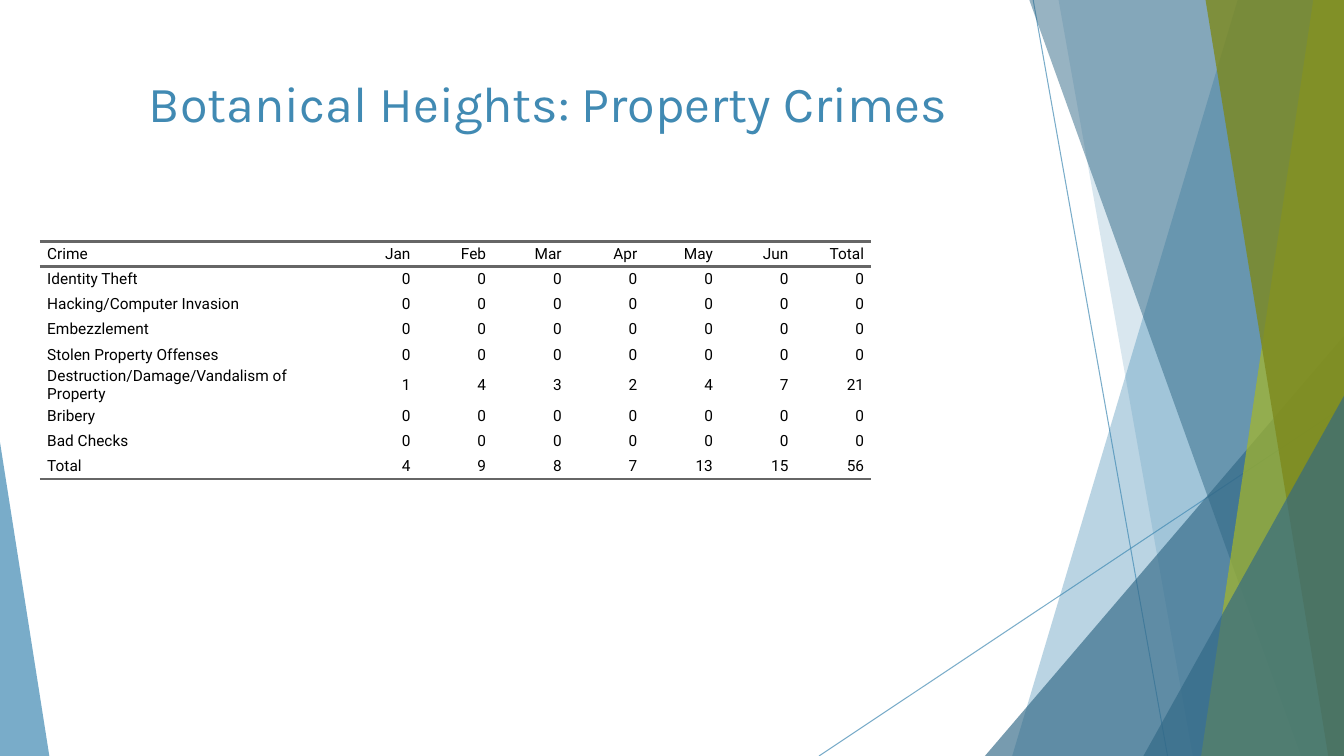
import dataclasses
import pptx
import pptx.dml.color
import pptx.enum.shapes
import pptx.enum.text
import pptx.oxml
import pptx.oxml.ns
import pptx.util
from pptx.dml.color import RGBColor

PX = 9525
WIDE, HIGH = 1280, 720
BLUE = RGBColor(0x41, 0x8A, 0xB3)
NAVY = RGBColor(0x31, 0x68, 0x86)
LIME = RGBColor(0xA6, 0xB7, 0x27)
OLIVE = RGBColor(0x7D, 0x89, 0x1D)
GREY = RGBColor(0x66, 0x66, 0x66)
BLACK = RGBColor(0, 0, 0)
NO_GRID = "{2D5ABB26-0587-4C30-8999-92F81FD0307C}"
ALIGN = pptx.enum.text.PP_ALIGN
ANCHOR = pptx.enum.text.MSO_ANCHOR


@dataclasses.dataclass(frozen=True)
class Ray:
    start: tuple[int, int]
    end: tuple[int, int]


@dataclasses.dataclass(frozen=True)
class Band:
    top: int
    base: int
    color: RGBColor
    alpha: int


@dataclasses.dataclass(frozen=True)
class Wedge:
    left: int
    top: int
    width: int
    peak: int
    color: RGBColor
    alpha: int


RAYS = [Ray((984, 0), (1112, HIGH)), Ray((WIDE, 387), (780, HIGH))]
SHARDS = [
    Band(1179, 964, BLUE, 36),
    Band(1008, 1136, BLUE, 20),
    Wedge(938, 320, 342, 1, NAVY, 66),
    Band(980, 1239, NAVY, 50),
    Band(1251, 1144, LIME, 70),
    Band(1148, 1265, OLIVE, 80),
    Wedge(1089, 377, 191, 1, NAVY, 66),
    Wedge(0, 421, 47, 0, BLUE, 70),
]
HEAD = ["Crime", "Jan", "Feb", "Mar", "Apr", "May", "Jun", "Total"]
CRIMES = {
    "Identity Theft": [0] * 6,
    "Hacking/Computer Invasion": [0] * 6,
    "Embezzlement": [0] * 6,
    "Stolen Property Offenses": [0] * 6,
    "Destruction/Damage/Vandalism of Property": [1, 4, 3, 2, 4, 7],
    "Bribery": [0] * 6,
    "Bad Checks": [0] * 6,
    "Total": [4, 9, 8, 7, 13, 15],
}


def px(count: int) -> pptx.util.Emu:
    return pptx.util.Emu(count * PX)


def fade(node, alpha: int) -> None:
    color = next(node.iter(pptx.oxml.ns.qn("a:srgbClr")))
    color.append(pptx.oxml.parse_xml(
        f'<a:alpha {pptx.oxml.ns.nsdecls("a")} val="{alpha * 1000}"/>'))


def write(frame, text: str, *, font: str, size: int, color: RGBColor,
          align=ALIGN.LEFT, indent: int = 0) -> None:
    para = frame.paragraphs[0]
    para.alignment = align
    if indent:
        props = para._p.get_or_add_pPr()
        props.set("marL", str(px(indent)))
        props.set("indent", "0")
    run = para.add_run()
    run.text = text
    run.font.name = font
    run.font.size = pptx.util.Pt(size)
    run.font.color.rgb = color


def draw_ray(slide, ray: Ray) -> None:
    line = slide.shapes.add_connector(
        pptx.enum.shapes.MSO_CONNECTOR.STRAIGHT,
        *map(px, ray.start + ray.end))
    line.line.color.rgb = BLUE
    line.line.width = pptx.util.Pt(0.75)
    props = line.element.spPr
    fade(props, 70)
    props.append(pptx.oxml.parse_xml(
        f'<a:effectLst {pptx.oxml.ns.nsdecls("a")}/>'))


def draw_shard(slide, shard: Band | Wedge) -> None:
    if isinstance(shard, Band):
        outline = slide.shapes.build_freeform(shard.top, -1, scale=PX)
        outline.add_line_segments(
            [(WIDE, -1), (WIDE, HIGH), (shard.base, HIGH)], close=True)
        shape = outline.convert_to_shape()
    else:
        shape = slide.shapes.add_shape(
            pptx.enum.shapes.MSO_SHAPE.ISOSCELES_TRIANGLE, px(shard.left),
            px(shard.top), px(shard.width), px(HIGH - shard.top))
        shape.adjustments[0] = shard.peak
    shape.shadow.inherit = False
    shape.fill.solid()
    shape.fill.fore_color.rgb = shard.color
    fade(shape.element.spPr, shard.alpha)
    shape.line.fill.background()


def rule(cell, side: str) -> None:
    cell._tc.get_or_add_tcPr().append(pptx.oxml.parse_xml(
        f'<a:ln{side} {pptx.oxml.ns.nsdecls("a")} w="{pptx.util.Pt(2)}">'
        f'<a:solidFill><a:srgbClr val="{GREY}"/></a:solidFill>'
        f'<a:prstDash val="solid"/></a:ln{side}>'))


def draw_table(slide) -> None:
    rows = [HEAD] + [[name, *counts, sum(counts)]
                     for name, counts in CRIMES.items()]
    last = len(rows) - 1
    frame = slide.shapes.add_table(
        len(rows), len(HEAD), px(38), px(230), px(792), px(24 * len(rows)))
    table = frame.table
    table.first_row = table.horz_banding = False
    next(frame.element.iter(pptx.oxml.ns.qn("a:tableStyleId"))).text = NO_GRID
    for col, column in enumerate(table.columns):
        column.width = px(72 if col else 288)
    for index, row in enumerate(rows):
        table.rows[index].height = px(24)
        for col, value in enumerate(row):
            cell = table.cell(index, col)
            cell.margin_left = cell.margin_right = px(0 if col == 0 else 7)
            cell.margin_left = cell.margin_top = cell.margin_bottom = 0
            cell.vertical_anchor = ANCHOR.MIDDLE
            write(cell.text_frame, str(value), font="Roboto", size=11,
                  color=BLACK, align=ALIGN.RIGHT if col else ALIGN.LEFT,
                  indent=7)
            if index == 0:
                rule(cell, "T")
            if index in (0, last):
                rule(cell, "B")
            cell.fill.background()


def draw_title(slide) -> None:
    frame = slide.shapes.add_textbox(
        px(71), px(64), px(902), px(138)).text_frame
    frame.word_wrap = True
    write(frame, "Botanical Heights: Property Crimes", font="Karla", size=36,
          color=BLUE, align=ALIGN.CENTER)


def main() -> None:
    deck = pptx.Presentation()
    deck.slide_width, deck.slide_height = px(WIDE), px(HIGH)
    slide = deck.slides.add_slide(deck.slide_layouts[6])
    for ray in RAYS:
        draw_ray(slide, ray)
    for shard in SHARDS:
        draw_shard(slide, shard)
    draw_table(slide)
    draw_title(slide)
    deck.save("out.pptx")


if __name__ == "__main__":
    main()
